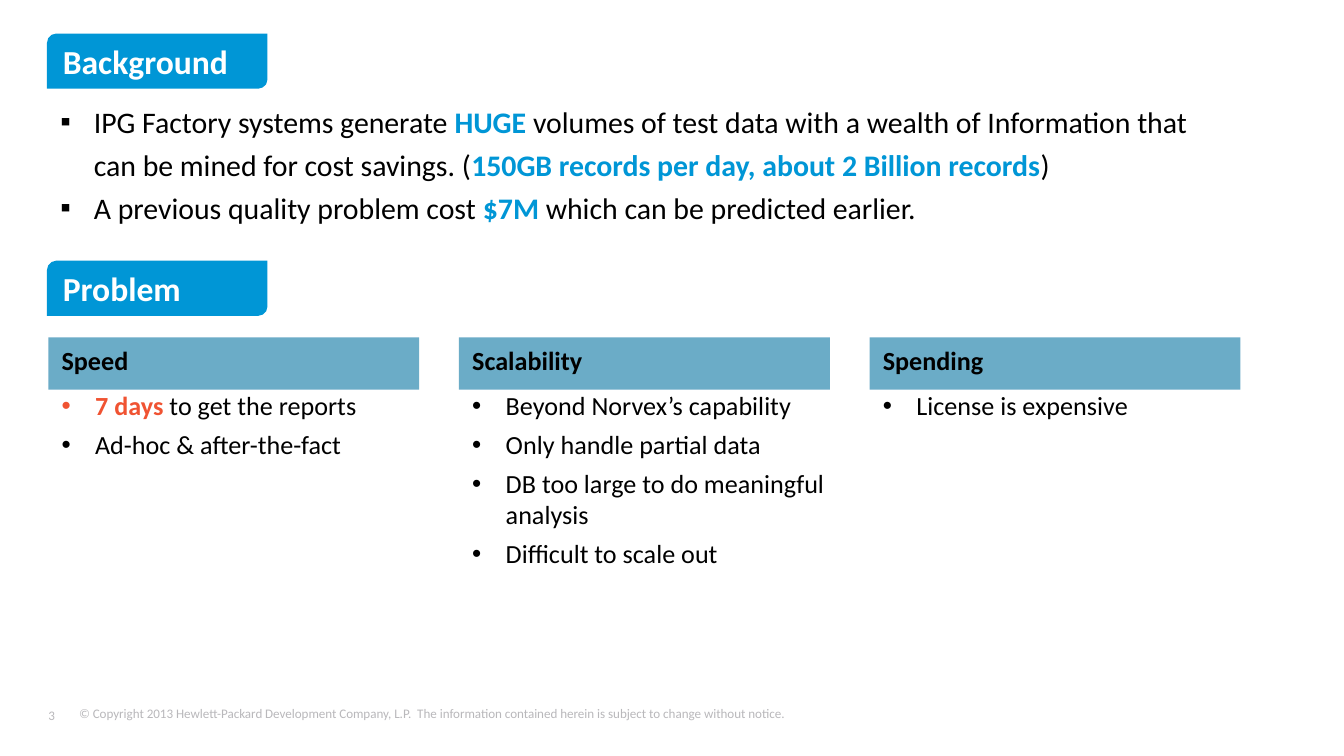
from dataclasses import dataclass

from lxml import etree
from pptx import Presentation
from pptx import util as u
from pptx.dml.color import RGBColor
from pptx.enum import shapes, text
from pptx.oxml import ns

FONT = "Calibri"
BULLET_FONT = "Arial"
COLOURS = {
    "blue": "0096D6",
    "header": "0070A0",
    "red": "F05332",
    "black": "000000",
    "white": "FFFFFF",
    "grey": "B9B8BB",
}
PAGE_WIDTH = 10
PAGE_HEIGHT = PAGE_WIDTH * 9 / 16
LEFT = 0.36
COLUMN_WIDTH = 2.76
LAST_COLUMN_LEFT = 6.47
HEADER_TOP = 2.51
HEADER_HEIGHT = 0.39
DEFAULT_INSETS = (0.1, 0.05, 0.1, 0.05)


@dataclass(frozen=True)
class Span:
    words: str
    colour: str = "black"
    bold: bool = False


@dataclass(frozen=True)
class Style:
    size: float
    bullet: str = ""
    line_spacing: float = 1.0
    space_after: float = 0


@dataclass(frozen=True)
class Column:
    title: str
    points: list[list[Span]]


TITLE = Style(18)
BACKGROUND = Style(16, "▪", 1.2)
HEADER = Style(14, space_after=4)
POINT = Style(14, "•", space_after=4)
FOOTER = Style(7)

SECTIONS = [("Background", 0.25), ("Problem", 1.94)]
BACKGROUND_POINTS = [
    [
        Span("IPG Factory systems generate "),
        Span("HUGE ", "blue", True),
        Span("volumes of test data with a wealth of Information that can be mined for cost savings. ("),
        Span("150GB records per day, about 2 Billion records", "blue", True),
        Span(")"),
    ],
    [
        Span("A previous quality problem cost "),
        Span("$7M ", "blue", True),
        Span("which can be predicted earlier."),
    ],
]
COLUMNS = [
    Column("Speed", [
        [Span("7 days", "red", True), Span(" to get the reports")],
        [Span("Ad-hoc & after-the-fact")],
    ]),
    Column("Scalability", [
        [Span("Beyond Norvex’s capability")],
        [Span("Only handle partial data")],
        [Span("DB too large to do meaningful analysis")],
        [Span("Difficult to scale out")],
    ]),
    Column("Spending", [[Span("License is expensive")]]),
]
COLUMN_STEP = (LAST_COLUMN_LEFT - LEFT) / (len(COLUMNS) - 1)
COPYRIGHT = (
    "© Copyright 2013 Hewlett-Packard Development Company, L.P.  "
    "The information contained herein is subject to change without notice."
)


def colour_of(name: str) -> RGBColor:
    return RGBColor.from_string(COLOURS[name])


def add_bullet(para, symbol: str) -> None:
    properties = para._p.get_or_add_pPr()
    properties.set("marL", str(u.Inches(0.25)))
    properties.set("indent", str(u.Inches(-0.25)))
    etree.SubElement(properties, ns.qn("a:buFont")).set("typeface", BULLET_FONT)
    etree.SubElement(properties, ns.qn("a:buChar")).set("char", symbol)


def write(box, paragraphs: list[list[Span]], style: Style,
          anchor=text.MSO_ANCHOR.TOP, insets=DEFAULT_INSETS, wrap: bool = True) -> None:
    frame = box.text_frame
    frame.word_wrap = wrap
    frame.vertical_anchor = anchor
    frame.margin_left, frame.margin_top, frame.margin_right, frame.margin_bottom = map(u.Inches, insets)
    for index, spans in enumerate(paragraphs):
        para = frame.add_paragraph() if index else frame.paragraphs[0]
        if style.bullet:
            add_bullet(para, style.bullet)
        para.alignment = text.PP_ALIGN.LEFT
        para.line_spacing = style.line_spacing
        para.space_after = u.Pt(style.space_after)
        for span in spans:
            run = para.add_run()
            run.text = span.words
            run.font.name = FONT
            run.font.size = u.Pt(style.size)
            run.font.bold = span.bold
            run.font.color.rgb = colour_of(span.colour)


def add_text(page, left: float, top: float, width: float, height: float):
    return page.shapes.add_textbox(*map(u.Inches, (left, top, width, height)))


def add_panel(page, kind, left: float, top: float, width: float, height: float,
              fill: str, opacity: int = 100):
    panel = page.shapes.add_shape(kind, *map(u.Inches, (left, top, width, height)))
    panel.shadow.inherit = False
    panel.line.fill.background()
    panel.fill.solid()
    panel.fill.fore_color.rgb = colour_of(fill)
    if opacity < 100:
        tint = panel._element.spPr.find(".//" + ns.qn("a:srgbClr"))
        etree.SubElement(tint, ns.qn("a:alpha")).set("val", str(opacity * 1000))
    return panel


def add_section(page, title: str, top: float) -> None:
    panel = add_panel(page, shapes.MSO_SHAPE.ROUND_2_DIAG_RECTANGLE, 0.35, top, 1.64, 0.41, "blue")
    write(panel, [[Span(title, "white", True)]], TITLE, text.MSO_ANCHOR.MIDDLE)


def add_column(page, column: Column, left: float) -> None:
    points = add_text(page, left, HEADER_TOP + HEADER_HEIGHT, COLUMN_WIDTH, 1.78)
    write(points, column.points, POINT, insets=(0.1, 0, 0, 0))
    header = add_panel(page, shapes.MSO_SHAPE.RECTANGLE, left, HEADER_TOP,
                       COLUMN_WIDTH, HEADER_HEIGHT, "header", 58)
    write(header, [[Span(column.title, bold=True)]], HEADER)


def add_footer(page) -> None:
    write(add_text(page, 0.49, 5.2, 8.76, 0.25), [[Span(COPYRIGHT, "grey")]], FOOTER)
    write(add_text(page, LEFT, 5.24, 0.35, 0.16), [[Span("3", "grey")]], FOOTER,
          text.MSO_ANCHOR.MIDDLE, (0, 0.05, 0.1, 0.05), wrap=False)


def main() -> None:
    deck = Presentation()
    deck.slide_width, deck.slide_height = u.Inches(PAGE_WIDTH), u.Inches(PAGE_HEIGHT)
    page = deck.slides.add_slide(deck.slide_layouts[6])
    add_footer(page)
    for title, top in SECTIONS:
        add_section(page, title, top)
    write(add_text(page, 0.35, 0.67, 8.88, 1.07), BACKGROUND_POINTS, BACKGROUND)
    for index, column in enumerate(COLUMNS):
        add_column(page, column, LEFT + index * COLUMN_STEP)
    deck.save("out.pptx")


if __name__ == "__main__":
    main()
